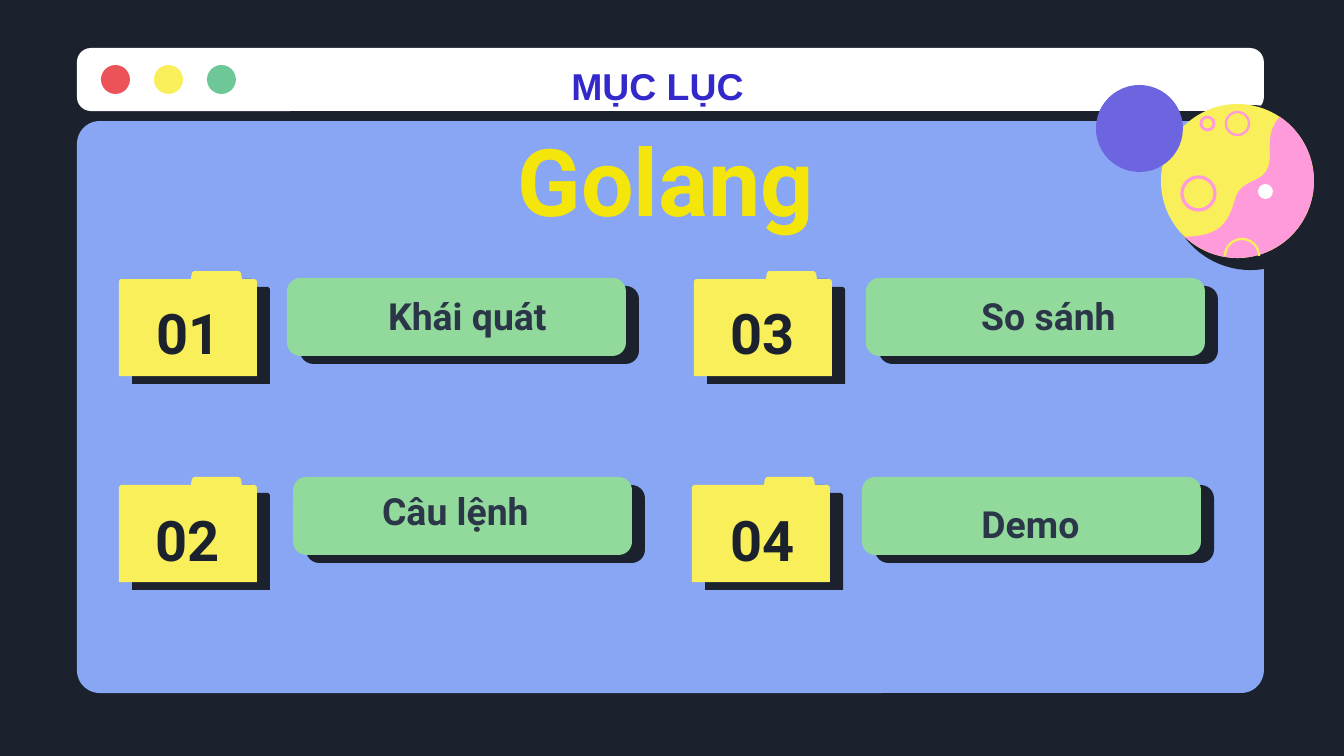
from math import cos, radians, sin
from lxml.etree import SubElement
from pptx import Presentation
from pptx.dml.color import RGBColor
from pptx.enum.shapes import MSO_SHAPE
from pptx.enum.text import MSO_ANCHOR, PP_ALIGN
from pptx.oxml.ns import qn
from pptx.util import Pt

PX = 6804
DARK = RGBColor(0x1B, 0x22, 0x2D)
WHITE = RGBColor(0xFF, 0xFF, 0xFF)
RED = RGBColor(0xEB, 0x53, 0x58)
YELLOW = RGBColor(0xF8, 0xEF, 0x5B)
TEAL = RGBColor(0x6D, 0xC7, 0x97)
BLUE = RGBColor(0x88, 0xA6, 0xF3)
PINK = RGBColor(0xFF, 0x9B, 0xDA)
PURPLE = RGBColor(0x6D, 0x65, 0xE0)
GREEN = RGBColor(0x92, 0xD9, 0x9C)
SLATE = RGBColor(0x2B, 0x37, 0x48)
GOLD = RGBColor(0xF4, 0xE6, 0x0A)
INDIGO = RGBColor(0x33, 0x29, 0xCB)

prs = Presentation()
prs.slide_width = 1344 * PX
prs.slide_height = 756 * PX
s = prs.slides.add_slide(prs.slide_layouts[6])
s.background.fill.solid()
s.background.fill.fore_color.rgb = DARK


def add_shape(kind, x, y, w, h, color, radius=None):
    sp = s.shapes.add_shape(kind, x * PX, y * PX, w * PX, h * PX)
    sp.shadow.inherit = False
    sp.fill.solid()
    sp.fill.fore_color.rgb = color
    sp.line.fill.background()
    if radius is not None:
        sp.adjustments[0] = radius
    return sp


def add_text(text, x, y, w, h, size, color, anchor, font="Roboto", inset=13):
    tf = s.shapes.add_textbox(x * PX, y * PX, w * PX, h * PX).text_frame
    tf.word_wrap = True
    tf.vertical_anchor = anchor
    tf.margin_left = tf.margin_right = 13 * PX
    tf.margin_top = tf.margin_bottom = inset * PX
    p = tf.paragraphs[0]
    p.text = text
    p.alignment = PP_ALIGN.CENTER
    p.font.name = font
    p.font.size = Pt(size)
    p.font.bold = True
    p.font.color.rgb = color


add_shape(MSO_SHAPE.ROUNDED_RECTANGLE, 77, 48, 1187, 63, WHITE, 0.22)
for i, color in enumerate((RED, YELLOW, TEAL)):
    add_shape(MSO_SHAPE.OVAL, 101 + 53 * i, 65, 29, 29, color)
add_shape(MSO_SHAPE.ROUNDED_RECTANGLE, 77, 121, 1187, 572, BLUE, 0.04)

add_shape(MSO_SHAPE.OVAL, 1168, 105, 165, 165, DARK)
add_shape(MSO_SHAPE.OVAL, 1161, 104, 153, 154, YELLOW)

coast = [(1280, 117), (1271, 126), (1269, 138), (1270, 152), (1272, 190),
         (1240, 172), (1234, 203), (1226, 230), (1213, 236), (1183, 237)]
points = []
for i in range(0, 9, 3):
    a, b, c, d = coast[i:i + 4]
    for step in range(13):
        t = step / 12
        points.append(tuple(
            (1 - t) ** 3 * a[k] + 3 * t * (1 - t) ** 2 * b[k]
            + 3 * t * t * (1 - t) * c[k] + t ** 3 * d[k] for k in (0, 1)))
points += [(1237.5 + 76.5 * cos(radians(g)), 181 + 77 * sin(radians(g)))
           for g in range(132, -57, -4)]
fb = s.shapes.build_freeform(points[0][0] * PX, points[0][1] * PX)
fb.add_line_segments([(x * PX, y * PX) for x, y in points[1:]])
sp = fb.convert_to_shape()
sp.shadow.inherit = False
sp.fill.solid()
sp.fill.fore_color.rgb = PINK
sp.line.fill.background()

for x, y, d, width in ((1201, 117, 13, 1.5), (1226, 112, 23, 1.25), (1182, 177, 33, 1.75)):
    sp = add_shape(MSO_SHAPE.OVAL, x, y, d, d, PINK)
    sp.fill.background()
    sp.line.color.rgb = PINK
    sp.line.width = Pt(width)

crater = [(1242 + 17 * cos(radians(g)), 256 + 17 * sin(radians(g)))
          for g in range(180, 361, 10)]
fb = s.shapes.build_freeform(crater[0][0] * PX, crater[0][1] * PX)
fb.add_line_segments([(x * PX, y * PX) for x, y in crater[1:]], close=False)
sp = fb.convert_to_shape()
sp.shadow.inherit = False
sp.fill.background()
sp.line.color.rgb = YELLOW
sp.line.width = Pt(1.25)

add_shape(MSO_SHAPE.OVAL, 1258, 184, 15, 15, WHITE)
add_shape(MSO_SHAPE.OVAL, 1096, 85, 87, 87, PURPLE)

folder = [(0, 10), (2, 8), (72, 8), (73, 2), (75, 0), (120, 0), (122, 2),
          (123, 8), (136, 8), (138, 10), (138, 105), (0, 105)]
items = [
    ("01", "Khái quát", (119, 271), (287, 278), (130, 289), (329, 292)),
    ("02", "Câu lệnh", (119, 477), (293, 477), (129, 496), (317, 487)),
    ("03", "So sánh", (694, 271), (866, 278), (704, 289), (910, 292)),
    ("04", "Demo", (692, 477), (862, 477), (704, 496), (892, 500)),
]
for number, label, (fx, fy), (bx, by), number_at, label_at in items:
    add_shape(MSO_SHAPE.ROUNDED_RECTANGLE, bx + 13, by + 8, 339, 78, DARK, 0.17)
    add_shape(MSO_SHAPE.ROUNDED_RECTANGLE, bx, by, 339, 78, GREEN, 0.17)
    outline = [((fx + x) * PX, (fy + y) * PX) for x, y in folder]
    fb = s.shapes.build_freeform(*outline[0])
    fb.add_line_segments(outline[1:])
    sp = fb.convert_to_shape()
    sp.fill.solid()
    sp.fill.fore_color.rgb = YELLOW
    sp.line.fill.background()
    sp.shadow.inherit = False
    effects = sp._element.spPr.find(qn("a:effectLst"))
    shadow = SubElement(effects, qn("a:outerShdw"), dist=str(Pt(8.2)),
                        dir=str(31 * 60000), algn="bl", rotWithShape="0")
    SubElement(shadow, qn("a:srgbClr"), val=str(DARK))
    add_text(number, *number_at, 117, 87, 30, DARK, MSO_ANCHOR.MIDDLE)
    add_text(label, *label_at, 277, 59, 20, SLATE, MSO_ANCHOR.BOTTOM)

add_text("Golang", 392, 110, 548, 129, 50, GOLD, MSO_ANCHOR.TOP)
add_text("MỤC LỤC", 374, 56, 567, 59, 20, INDIGO, MSO_ANCHOR.TOP, "Arial", 7)

prs.save("out.pptx")
